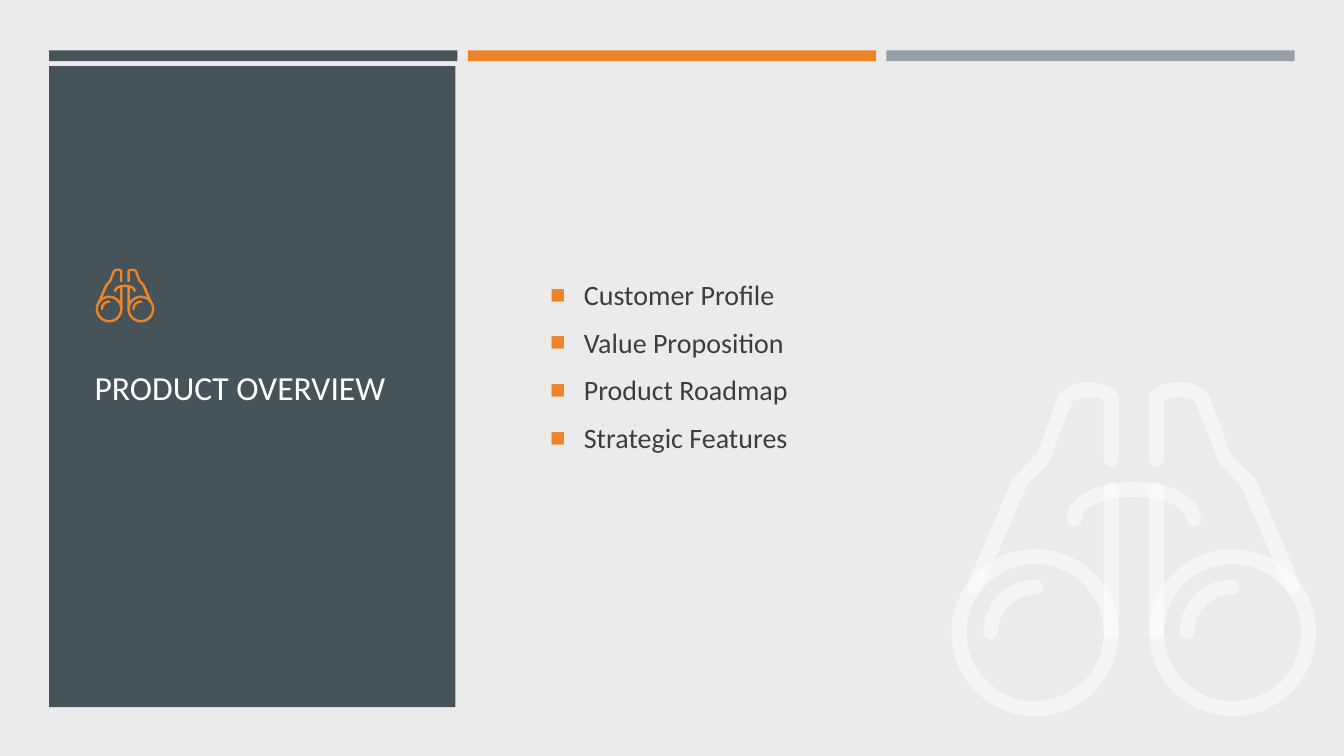
"""Build the product overview section slide with its binoculars icons."""
import math

from lxml import etree
from pptx import Presentation
from pptx.dml.color import RGBColor
from pptx.enum import shapes, text
from pptx.oxml import ns
from pptx.util import Cm, Pt

COLORS = {
    "background": "EBEBEB",
    "slate": "465359",
    "orange": "ED8428",
    "gray": "969FA7",
    "ink": "3D3D3D",
    "white": "FFFFFF",
}
ICON_WIDTH = 362
RING_SIZE = 166
TUBE_BAR = (151, 102, 15, 156)
TUBE = [
    (24, 213), (20, 212), (16, 211, 15, 206, 16, 202),
    (61, 97), (64, 95), (85, 73), (106, 16), (109, 12),
    (115, 6, 125, 2, 136, 2), (147, 2, 157, 6, 164, 12), (166, 18), (166, 78),
    (166, 82, 162, 86, 159, 86), (155, 86, 151, 82, 151, 78), (151, 21),
    (142, 15, 127, 16, 120, 22), (97, 81), (96, 83),
    (75, 105), (30, 208), (29, 211, 26, 213, 24, 213),
]
BRIDGE = [
    (241, 146), (237, 146, 233, 142, 233, 138), (233, 127, 211, 116, 181, 116),
    (151, 116, 129, 127, 129, 138), (129, 142, 125, 146, 121, 146),
    (118, 146, 114, 142, 114, 138), (114, 117, 142, 101, 181, 101),
    (220, 101, 248, 117, 248, 138), (248, 142, 244, 146, 241, 146),
]
GLINT = [
    (38, 258), (35, 258, 31, 255, 31, 251), (31, 221, 55, 198, 83, 198),
    (87, 198, 91, 201, 91, 206), (91, 210, 87, 213, 83, 213),
    (62, 213, 46, 230, 46, 251), (46, 255, 42, 258, 38, 258),
]


def trace(outline):
    """Turn corners and cubic curves into points, with more on longer curves."""
    points = [outline[0]]
    for segment in outline[1:]:
        if len(segment) == 2:
            points.append(segment)
            continue
        controls = [points[-1], segment[:2], segment[2:4], segment[4:]]
        steps = min(5, 1 + int(math.dist(controls[0], controls[3]) // 5))
        for step in range(1, steps + 1):
            t = step / steps
            weights = ((1 - t) ** 3, 3 * t * (1 - t) ** 2, 3 * t * t * (1 - t), t ** 3)
            points.append(tuple(
                sum(weight * control[axis] for weight, control in zip(weights, controls))
                for axis in (0, 1)))
    return points


def paint(shape, color):
    """Give a shape a plain fill without line or shadow."""
    shape.shadow.inherit = False
    shape.fill.solid()
    shape.fill.fore_color.rgb = RGBColor.from_string(COLORS[color])
    shape.line.fill.background()


presentation = Presentation()
presentation.slide_width, presentation.slide_height = Cm(33.87), Cm(19.05)
slide = presentation.slides.add_slide(presentation.slide_layouts[1])
slide.background.fill.solid()
slide.background.fill.fore_color.rgb = RGBColor.from_string(COLORS["background"])

panels = [(1.24 + 10.55 * column, 1.27, 10.29, 0.27, color)
          for column, color in enumerate(("slate", "orange", "gray"))]
panels.append((1.24, 1.67, 10.24, 16.15, "slate"))
for left, top, width, height, color in panels:
    panel = slide.shapes.add_shape(
        shapes.MSO_SHAPE.RECTANGLE, Cm(left), Cm(top), Cm(width), Cm(height))
    paint(panel, color)

title, body = slide.shapes.title, slide.placeholders[1]
title.text_frame.text = "PRODUCT OVERVIEW"
topics = ["Customer Profile", "Value Proposition", "Product Roadmap", "Strategic Features"]
body.text_frame.text = "\n".join(topics)
for placeholder, left, top, width, height, size, color in (
        (body, 13.61, 3.28, 18.47, 12.93, 20, "ink"),
        (title, 2.13, 7.37, 8.43, 4.78, 24, "white")):
    slide.shapes.element.append(placeholder.element)
    placeholder.left, placeholder.top = Cm(left), Cm(top)
    placeholder.width, placeholder.height = Cm(width), Cm(height)
    frame = placeholder.text_frame
    frame.word_wrap = True
    frame.auto_size = text.MSO_AUTO_SIZE.NONE
    frame.vertical_anchor = text.MSO_ANCHOR.MIDDLE
    for paragraph in frame.paragraphs:
        paragraph.alignment = text.PP_ALIGN.LEFT
        for run in paragraph.runs:
            run.font.name = "Calibri"
            run.font.size = Pt(size)
            run.font.color.rgb = RGBColor.from_string(COLORS[color])

body.text_frame.margin_bottom = Cm(1.18)
for number, paragraph in enumerate(body.text_frame.paragraphs):
    properties = paragraph._p.get_or_add_pPr()
    properties.set("marL", str(Cm(0.85)))
    properties.set("indent", str(Cm(-0.85)))
    bullet_color = etree.SubElement(properties, ns.qn("a:buClr"))
    etree.SubElement(bullet_color, ns.qn("a:srgbClr"), val=COLORS["orange"])
    etree.SubElement(properties, ns.qn("a:buSzPct"), val="92000")
    etree.SubElement(properties, ns.qn("a:buChar"), char="■")
    paragraph.space_before = Pt(4 if number else 0)
    paragraph.space_after = Pt(6)

mirrored_tube = [(ICON_WIDTH - x, y) for x, y in trace(TUBE)]
shifted_glint = [(x + 195, y) for x, y in trace(GLINT)]
outlines = [trace(TUBE), mirrored_tube, trace(BRIDGE), trace(GLINT), shifted_glint]
bar_left, bar_top, bar_width, bar_height = TUBE_BAR
presets = []
for ring_left, tube_left in ((0, bar_left),
                             (ICON_WIDTH - RING_SIZE, ICON_WIDTH - bar_left - bar_width)):
    presets.append((shapes.MSO_SHAPE.DONUT, 0.09, ring_left, 168, RING_SIZE, RING_SIZE))
    presets.append((shapes.MSO_SHAPE.ROUNDED_RECTANGLE, 0.5,
                    tube_left, bar_top, bar_width, bar_height))

for left, top, width, color, opacity in (
        (23.98, 9.57, 9.19, "white", 50), (2.41, 6.76, 1.48, "orange", 100)):
    binoculars = slide.shapes.add_group_shape()
    unit = Cm(width) / ICON_WIDTH
    for kind, adjustment, x, y, part_width, part_height in presets:
        part = binoculars.shapes.add_shape(
            kind, Cm(left) + round(x * unit), Cm(top) + round(y * unit),
            round(part_width * unit), round(part_height * unit))
        part.adjustments[0] = adjustment
    for outline in outlines:
        points = [(x * unit, y * unit) for x, y in outline]
        builder = binoculars.shapes.build_freeform(*points[0])
        builder.add_line_segments(points[1:-1], close=True)
        builder.convert_to_shape(Cm(left), Cm(top))
    for part in binoculars.shapes:
        paint(part, color)
        if opacity < 100:
            fill_color = part.element.spPr.find(ns.qn("a:solidFill"))[0]
            etree.SubElement(fill_color, ns.qn("a:alpha"), val=str(opacity * 1000))

presentation.save("out.pptx")
